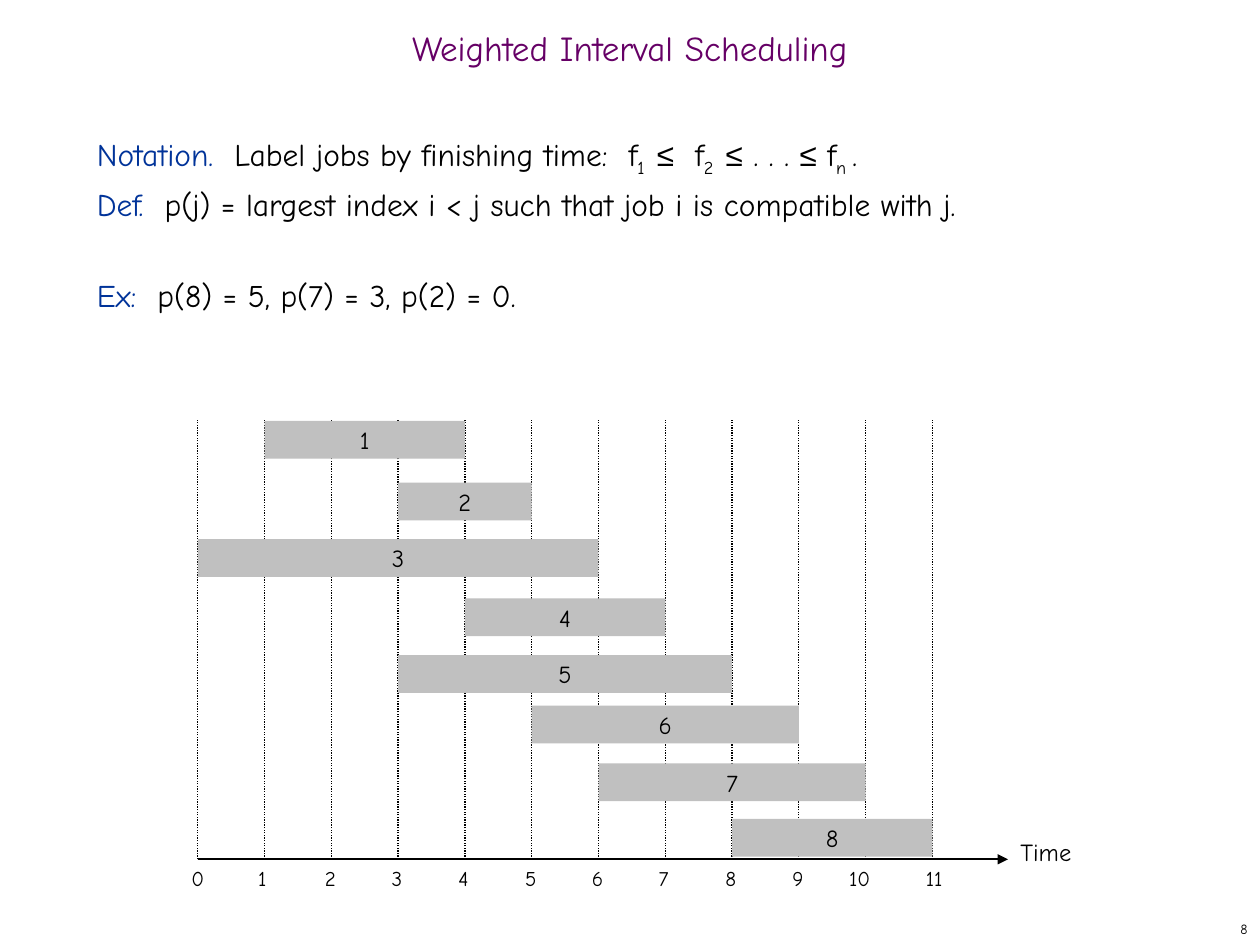
from lxml.etree import SubElement
from pptx import Presentation
from pptx.dml.color import RGBColor
from pptx.enum.dml import MSO_LINE
from pptx.enum.shapes import MSO_CONNECTOR, MSO_SHAPE
from pptx.enum.text import MSO_ANCHOR, PP_ALIGN
from pptx.oxml.ns import qn
from pptx.util import Emu, Pt

PX = 9144  # 100 px to the inch
FONT, SYMBOL_FONT = "Comic Neue", "Arial"
BLACK = RGBColor(0x00, 0x00, 0x00)
PURPLE = RGBColor(0x66, 0x00, 0x66)
BLUE = RGBColor(0x00, 0x33, 0x99)
GRAY = RGBColor(0xC0, 0xC0, 0xC0)

UNIT = 53  # width of one time step
LAST_TIME = 11
BAR_HEIGHT = 30
# (start, finish, top inside the chart), in order of job number
JOBS = [(1, 4, 1), (3, 5, 50), (0, 6, 95), (4, 7, 142),
        (3, 8, 187), (5, 9, 227), (6, 10, 273), (8, 11, 317)]


def px(*lengths):
    return [Emu(n * PX) for n in lengths]


def add_run(p, text, size=18, color=BLACK, font=FONT, sub=False):
    r = p.add_run()
    r.text = text
    r.font.size = Pt(size)
    r.font.name = font
    r.font.color.rgb = color
    if sub:
        r._r.get_or_add_rPr().set("baseline", "-25000")


def write(sp, text, align=PP_ALIGN.LEFT, anchor=MSO_ANCHOR.TOP, wrap=True,
          spacing=None, **font):
    tf = sp.text_frame
    tf.word_wrap = wrap
    tf.vertical_anchor = anchor
    p = tf.paragraphs[0]
    p.alignment = align
    p.line_spacing = spacing
    add_run(p, text, **font)


def add_text(s, box, text, **fmt):
    write(s.shapes.add_textbox(*px(*box)), text, **fmt)


def add_line(s, x1, y1, x2, y2, width, dash=None, arrow=False):
    line = s.shapes.add_connector(MSO_CONNECTOR.STRAIGHT, *px(x1, y1, x2, y2))
    line.line.color.rgb = BLACK
    line.line.width = Pt(width)
    if dash:
        line.line.dash_style = dash
    sp_pr = line._element.spPr
    if arrow:
        SubElement(sp_pr.find(qn("a:ln")), qn("a:tailEnd"), type="triangle")
    SubElement(sp_pr, qn("a:effectLst"))


def add_bar(s, box, text):
    sp = s.shapes.add_shape(MSO_SHAPE.RECTANGLE, *px(*box))
    sp.shadow.inherit = False
    sp.fill.solid()
    sp.fill.fore_color.rgb = GRAY
    sp.line.fill.background()
    write(sp, text, align=PP_ALIGN.CENTER, anchor=MSO_ANCHOR.MIDDLE,
          wrap=False, size=14)


def add_definitions(s, box):
    tf = s.shapes.add_textbox(*px(*box)).text_frame
    tf.word_wrap = True
    blue, sub, symbol = {"color": BLUE}, {"sub": True}, {"font": SYMBOL_FONT}
    paragraphs = [
        [("Notation.  ", blue), ("Label jobs by finishing time:  f", {}),
         ("1  ", sub), ("≤", symbol), ("  f", {}), ("2  ", sub),
         ("≤", symbol), (" . . . ", {}), ("≤", symbol), (" f", {}),
         ("n ", sub), (".", {})],
        [("Def.  ", blue),
         ("p(j) = largest index i < j such that job i is compatible with j.", {})],
        [("Ex:  ", blue), ("p(8) = 5, p(7) = 3, p(2) = 0.", {})],
    ]
    for i, runs in enumerate(paragraphs):
        p = tf.paragraphs[0] if i == 0 else tf.add_paragraph()
        p.line_spacing = Pt(26)
        for text, fmt in runs:
            add_run(p, text, **fmt)
    p.space_before = Pt(26)  # sets the example apart


def add_schedule(s, left, top, width, height):
    """Time axis with a dotted line per step and one bar per job."""
    bottom = top + height
    add_line(s, left, bottom, left + width, bottom, 1.25, arrow=True)
    add_text(s, (left + width, bottom - 23, 83, 33), "Time", size=14)
    for t in range(LAST_TIME + 1):
        x = left + t * UNIT
        add_line(s, x, bottom, x, top, 0.75, dash=MSO_LINE.ROUND_DOT)
        indent = 23 if t == 10 else 15
        add_text(s, (x - indent, bottom, 46, 30), str(t), size=12)
    for number, (start, finish, y) in enumerate(JOBS, 1):
        add_bar(s, (left + start * UNIT, top + y,
                    (finish - start) * UNIT, BAR_HEIGHT), str(number))


def main():
    prs = Presentation()
    prs.slide_width, prs.slide_height = px(1000, 750)
    s = prs.slides.add_slide(prs.slide_layouts[6])
    add_text(s, (0, 17, 1000, 50), "Weighted Interval Scheduling",
             align=PP_ALIGN.CENTER, anchor=MSO_ANCHOR.MIDDLE, spacing=0.7,
             size=20, color=PURPLE)
    add_definitions(s, (67, 100, 858, 592))
    add_schedule(s, 157, 333, 643, 349)
    add_text(s, (792, 725, 208, 25), "8", align=PP_ALIGN.RIGHT,
             anchor=MSO_ANCHOR.MIDDLE, size=8)
    prs.save("out.pptx")


if __name__ == "__main__":
    main()
